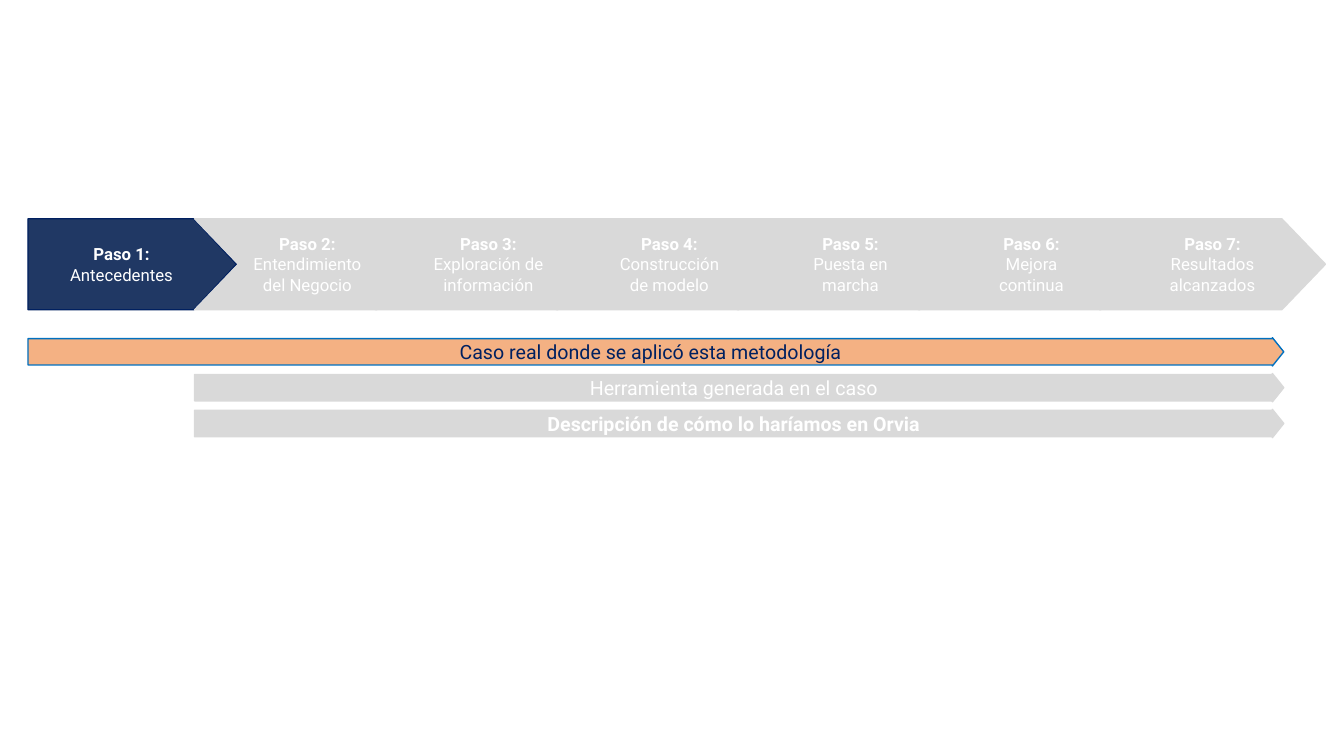
from pptx import Presentation
from pptx.dml.color import RGBColor
from pptx.enum.shapes import MSO_SHAPE
from pptx.enum.text import MSO_ANCHOR, PP_ALIGN
from pptx.util import Pt

PENTAGON = MSO_SHAPE.PENTAGON
NOTCHED_ARROW = MSO_SHAPE.NOTCHED_RIGHT_ARROW
RIGHT_ARROW = MSO_SHAPE.RIGHT_ARROW
MIDDLE = MSO_ANCHOR.MIDDLE
CENTER = PP_ALIGN.CENTER

WHITE = RGBColor(0xFF, 0xFF, 0xFF)
GREY = RGBColor(0xD9, 0xD9, 0xD9)
BLUE = RGBColor(0x20, 0x38, 0x64)
NAVY = RGBColor(0x00, 0x20, 0x60)
ORANGE = RGBColor(0xF4, 0xB1, 0x83)
BRIGHT_BLUE = RGBColor(0x00, 0x70, 0xC0)

FONT = "Roboto"
LEFT = 20
STEPS_LEFT, STEPS_TOP, STEP_PITCH = 139, 156.25, 129.3
STEP_WIDTH, STEP_HEIGHT = 161.3, 65
BARS_TOP, BAR_PITCH, BAR_HEIGHT, BARS_RIGHT = 241.2, 25.6, 20.2, 917

STEPS = [
    "Antecedentes",
    "Entendimiento del Negocio",
    "Exploración de información",
    "Construcción de modelo",
    "Puesta en marcha",
    "Mejora continua",
    "Resultados alcanzados",
]
BARS = [
    ("Caso real donde se aplicó esta metodología", LEFT, ORANGE, BRIGHT_BLUE, NAVY, False),
    ("Herramienta generada en el caso", STEPS_LEFT, GREY, GREY, WHITE, False),
    ("Descripción de cómo lo haríamos en Orvia", STEPS_LEFT, GREY, GREY, WHITE, True),
]


def add_text(p, text, size=12, color=WHITE, bold=False):
    """Add a centred, formatted run to a paragraph."""
    p.alignment = CENTER
    r = p.add_run()
    r.text = text
    r.font.name = FONT
    r.font.size = Pt(size)
    r.font.bold = bold
    r.font.color.rgb = color


def add_arrow(s, kind, box, adjustments, fill, line):
    """Add a filled arrow shape and return its text frame."""
    sp = s.shapes.add_shape(kind, *(Pt(v) for v in box))
    for i, value in enumerate(adjustments):
        sp.adjustments[i] = value
    sp.shadow.inherit = False
    sp.fill.solid()
    sp.fill.fore_color.rgb = fill
    sp.line.color.rgb = line
    sp.line.width = Pt(1)
    tf = sp.text_frame
    tf.word_wrap = True
    tf.vertical_anchor = MIDDLE
    return tf


def add_step(s, number, name):
    """Add one step of the process, the first one highlighted."""
    if number == 1:
        box = LEFT, STEPS_TOP, 149, STEP_HEIGHT
        tf = add_arrow(s, PENTAGON, box, [0.47], BLUE, NAVY)
    else:
        left = STEPS_LEFT + (number - 2) * STEP_PITCH
        box = left, STEPS_TOP, STEP_WIDTH, STEP_HEIGHT
        tf = add_arrow(s, NOTCHED_ARROW, box, [1, 0.48], GREY, GREY)
    add_text(tf.paragraphs[0], f"Paso {number}:", bold=True)
    add_text(tf.add_paragraph(), name)


def add_bar(s, index, text, left, fill, line, color, bold):
    """Add one long arrow below the steps."""
    box = left, BARS_TOP + index * BAR_PITCH, BARS_RIGHT - left, BAR_HEIGHT
    tf = add_arrow(s, RIGHT_ARROW, box, [0.93, 0.4], fill, line)
    add_text(tf.paragraphs[0], text, size=14, color=color, bold=bold)


def main():
    """Build the slide and save it."""
    prs = Presentation()
    prs.slide_width, prs.slide_height = Pt(960), Pt(540)
    s = prs.slides.add_slide(prs.slide_layouts[6])
    for number, name in enumerate(STEPS, 1):
        add_step(s, number, name)
    for index, bar in enumerate(BARS):
        add_bar(s, index, *bar)
    prs.save("out.pptx")


main()
